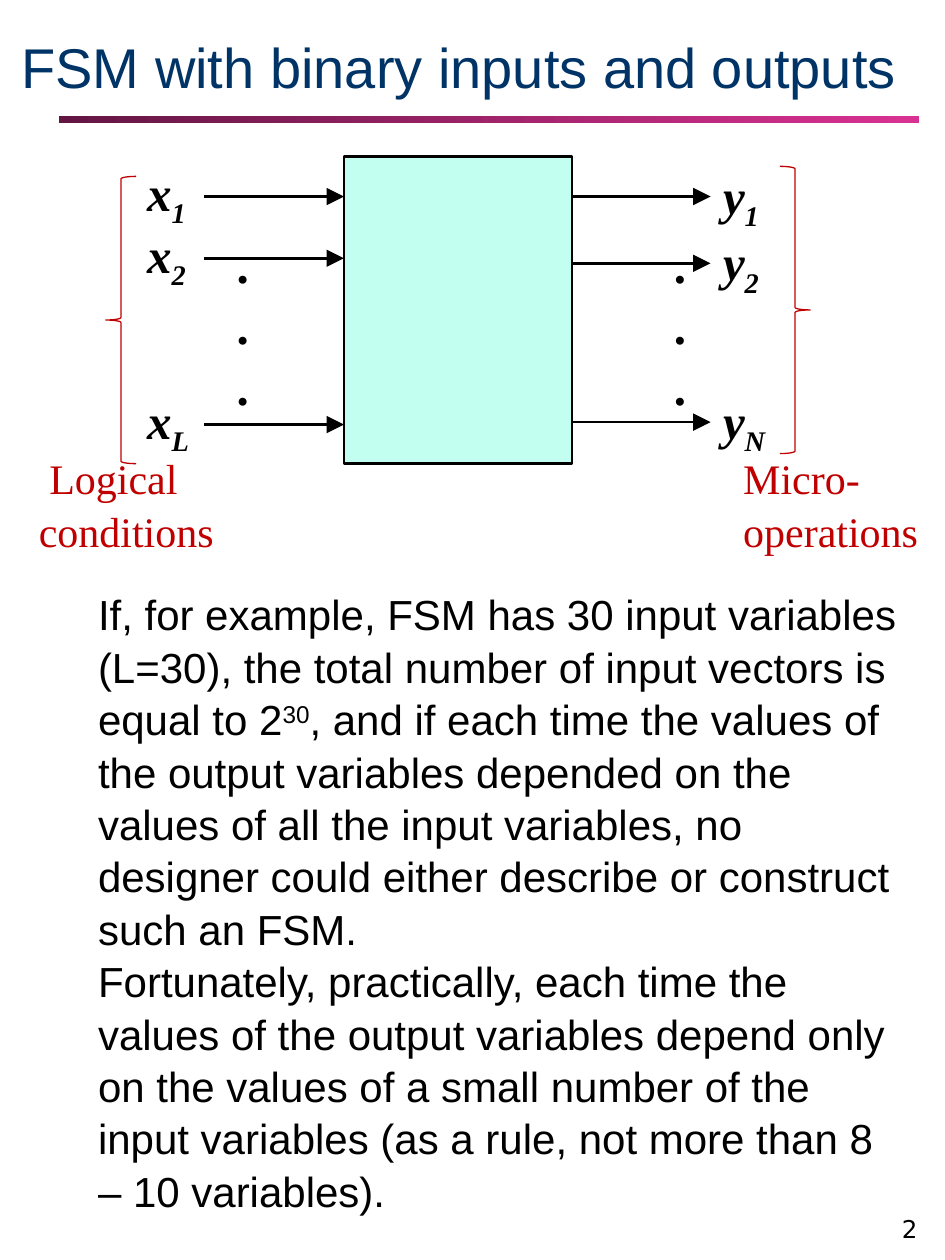
from dataclasses import dataclass

from pptx import Presentation
from pptx.dml.color import RGBColor
from pptx.enum.shapes import MSO_CONNECTOR as Connector, MSO_SHAPE as Shape
from pptx.enum.text import MSO_ANCHOR as Anchor, PP_ALIGN as Align
from pptx.oxml.ns import qn
from pptx.util import Inches, Pt
from lxml.etree import SubElement

SERIF, SANS = "Times New Roman", "Arial"
BLACK, RED, NAVY, MINT = "000000", "C00000", "003366", "C2FFF0"
LINE_SPACING = 1.04
BOX_LEFT, BOX_TOP, BOX_WIDTH, BOX_HEIGHT = 2.73, 1.24, 1.81, 2.44


@dataclass
class Signal:
    index: str
    y: float


@dataclass
class Side:
    letter: str
    arrow_start: float
    arrow_end: float
    label_left: float
    label_rise: float  # from the arrow up to the top of its label
    dots_left: float
    signals: list[Signal]


@dataclass
class Caption:
    text: str
    left: float
    width: float


@dataclass
class Brace:
    kind: Shape
    left: float
    top: float


SIDES = [
    Side("x", 1.62, BOX_LEFT, 1.07, 0.34, 1.78,
         [Signal("1", 1.56), Signal("2", 2.05), Signal("L", 3.37)]),
    Side("y", BOX_LEFT + BOX_WIDTH, 5.64, 5.64, 0.32, 5.25,
         [Signal("1", 1.56), Signal("2", 2.09), Signal("N", 3.35)]),
]
BRACES = [Brace(Shape.LEFT_BRACE, 0.84, 1.4), Brace(Shape.RIGHT_BRACE, 6.19, 1.32)]
CAPTIONS = [Caption(" Logical conditions", 0.21, 2.36),
            Caption("Micro-operations", 5.8, 1.65)]
BODY = [
    [("If, for example, FSM has 30 input variables (L=30), the total number of "
      "input vectors is equal to 2", 0),
     ("30", 30),
     (", and if each time the values of the output variables depended on the "
      "values of all the input variables, no designer could either describe or "
      "construct such an FSM.", 0)],
    [("Fortunately, practically, each time the values of the output variables "
      "depend only on the values of a small number of the input variables (as a "
      "rule, not more than 8 – 10 variables).", 0)],
]


def color(value: str) -> RGBColor:
    return RGBColor.from_string(value)


def style_font(font, name: str, size: float, fill: str,
               bold: bool = False, italic: bool = False) -> None:
    font.name, font.size = name, Pt(size)
    font.bold, font.italic = bold, italic
    font.color.rgb = color(fill)


def add_text(slide, left: float, top: float, width: float, height: float,
             paragraphs: list, name: str, size: float, fill: str = BLACK,
             bold: bool = False, italic: bool = False):
    """Each paragraph is a list of (text, baseline percent) pairs."""
    box = slide.shapes.add_textbox(Inches(left), Inches(top),
                                   Inches(width), Inches(height))
    frame = box.text_frame
    frame.word_wrap = True
    for number, pieces in enumerate(paragraphs):
        paragraph = frame.add_paragraph() if number else frame.paragraphs[0]
        paragraph.line_spacing = LINE_SPACING
        for text, baseline in pieces:
            run = paragraph.add_run()
            run.text = text
            style_font(run.font, name, size, fill, bold, italic)
            if baseline:
                run._r.get_or_add_rPr().set("baseline", str(baseline * 1000))
    return box


def add_arrow(slide, start: float, end: float, y: float) -> None:
    arrow = slide.shapes.add_connector(Connector.STRAIGHT, Inches(start), Inches(y),
                                       Inches(end), Inches(y))
    arrow.line.color.rgb = color(BLACK)
    arrow.line.width = Pt(1.5)
    SubElement(arrow.line._get_or_add_ln(), qn("a:tailEnd"),
               type="triangle", w="lg", len="lg")
    SubElement(arrow._element.spPr, qn("a:effectLst"))


def add_shape(slide, kind: Shape, left: float, top: float, width: float, height: float):
    shape = slide.shapes.add_shape(kind, Inches(left), Inches(top),
                                   Inches(width), Inches(height))
    shape.shadow.inherit = False
    return shape


def add_side(slide, side: Side) -> None:
    for signal in side.signals:
        add_arrow(slide, side.arrow_start, side.arrow_end, signal.y)
        add_text(slide, side.label_left, signal.y - side.label_rise, 0.63, 0.63,
                 [[(side.letter, 0), (signal.index, -25)]], SERIF, 28,
                 bold=True, italic=True)
    # The narrow box stacks the dots one to a line
    add_text(slide, side.dots_left, 1.79, 0.24, 1.5, [[("...", 0)]], SERIF, 28, bold=True)


def add_brace(slide, brace: Brace) -> None:
    shape = add_shape(slide, brace.kind, brace.left, brace.top, 0.24, 2.28)
    shape.fill.background()
    shape.line.color.rgb = color(RED)
    shape.line.width = Pt(0.75)


def add_title(slide, text: str) -> None:
    title = slide.shapes.title
    title.left, title.top = Inches(0), Inches(0.14)
    title.width, title.height = Inches(7.29), Inches(0.7)
    title.text_frame.text = text
    title.text_frame.vertical_anchor = Anchor.BOTTOM
    paragraph = title.text_frame.paragraphs[0]
    paragraph.alignment = Align.CENTER
    style_font(paragraph.runs[0].font, SANS, 32, NAVY)


def add_title_rule(slide) -> None:
    rule = add_shape(slide, Shape.RECTANGLE, 0.47, 0.92, 6.82, 0.06)
    rule.line.fill.background()
    rule.fill.gradient()
    rule.fill.gradient_angle = 0
    for stop, value in zip(rule.fill.gradient_stops, ("641643", "D93192")):
        stop.color.rgb = color(value)


def main() -> None:
    presentation = Presentation()
    presentation.slide_width, presentation.slide_height = Inches(7.5), Inches(10)
    slide = presentation.slides.add_slide(presentation.slide_layouts[5])

    # Heading and page number
    add_title_rule(slide)
    add_title(slide, "FSM with binary inputs and outputs")
    page = add_text(slide, 6.46, 9.49, 0.92, 0.43, [[("2", 0)]], "DejaVu Sans", 14)
    page.text_frame.vertical_anchor = Anchor.BOTTOM
    page.text_frame.paragraphs[0].alignment = Align.RIGHT
    page.text_frame.paragraphs[0].line_spacing = 1.0

    # Explanation
    add_text(slide, 0.68, 4.61, 6.54, 4.9, BODY, SANS, 24)

    # State machine with its inputs and outputs
    machine = add_shape(slide, Shape.RECTANGLE, BOX_LEFT, BOX_TOP, BOX_WIDTH, BOX_HEIGHT)
    machine.fill.solid()
    machine.fill.fore_color.rgb = color(MINT)
    machine.line.color.rgb = color(BLACK)
    machine.line.width = Pt(1.5)
    for side in SIDES:
        add_side(slide, side)

    # Braces and their captions
    for brace in BRACES:
        add_brace(slide, brace)
    for caption in CAPTIONS:
        add_text(slide, caption.left, 3.53, caption.width, 0.9,
                 [[(caption.text, 0)]], SERIF, 24, RED)

    presentation.save("out.pptx")


if __name__ == "__main__":
    main()
